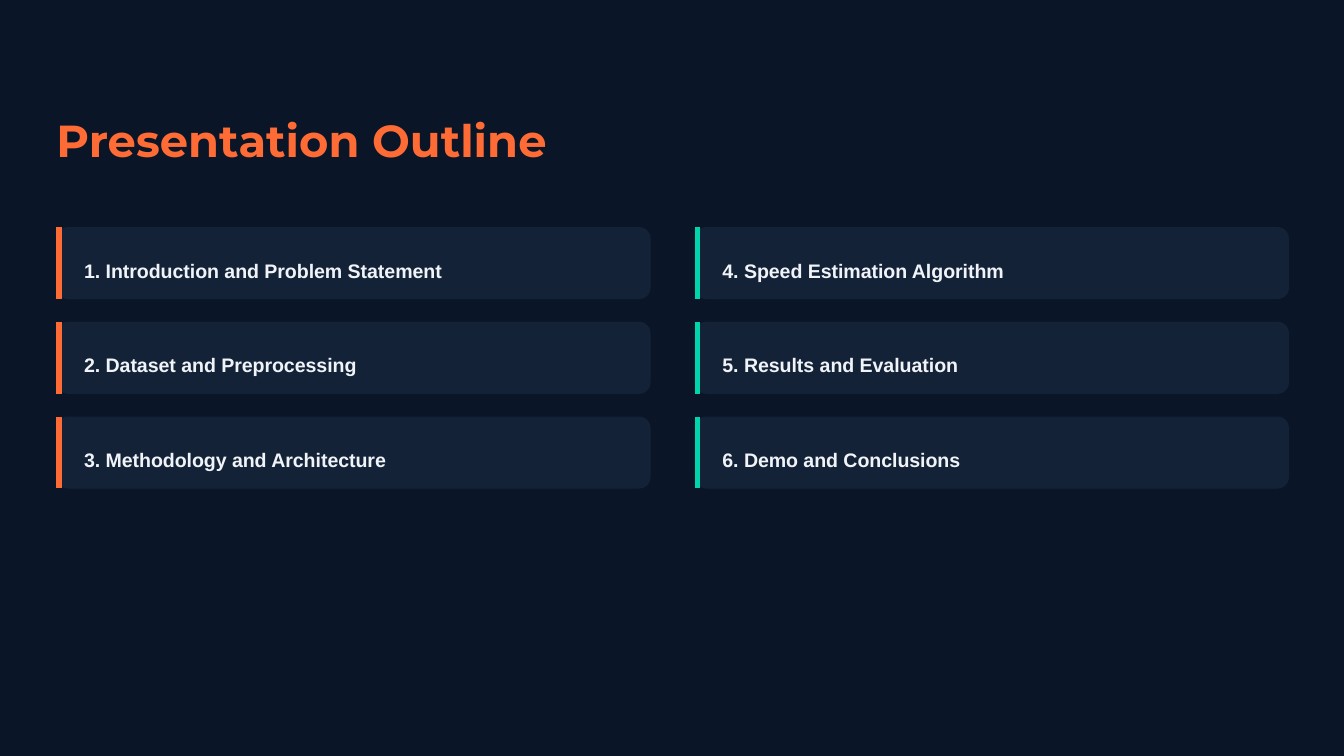
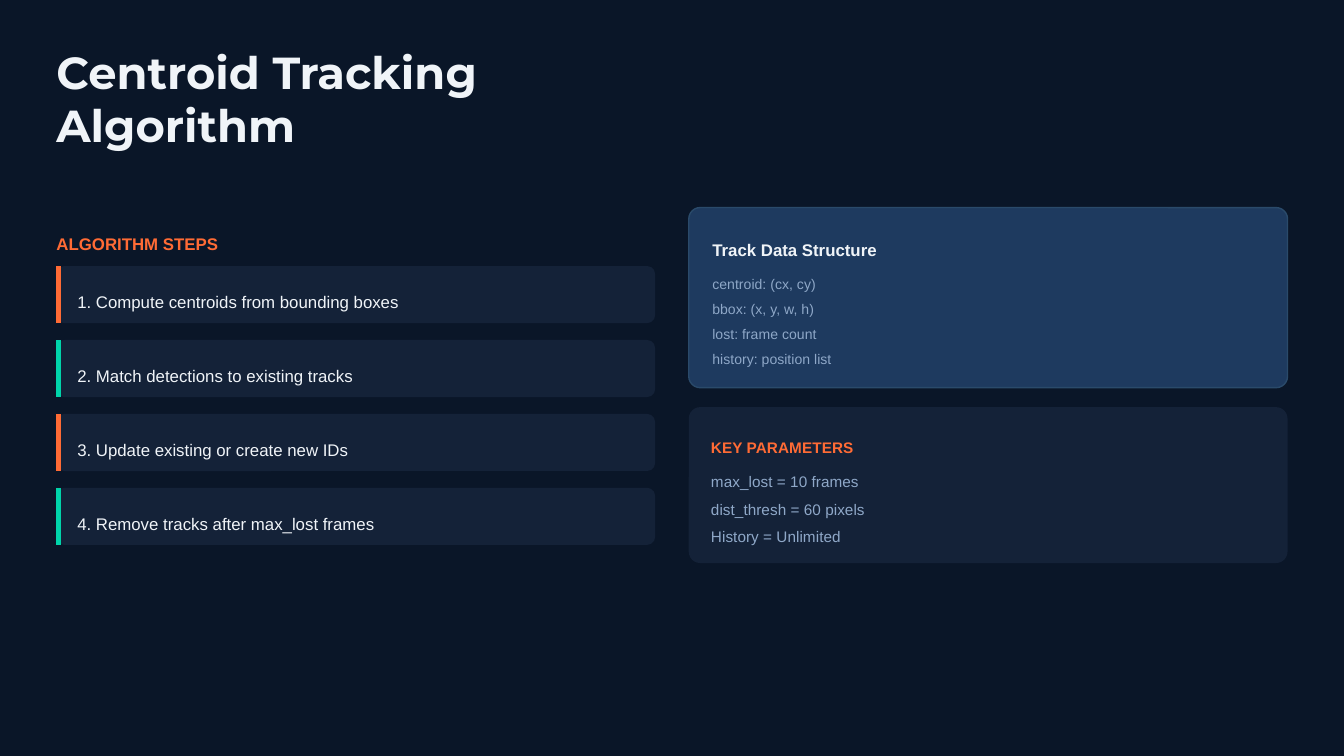
from lxml.etree import SubElement
from pptx import Presentation
from pptx.dml.color import RGBColor
from pptx.enum.shapes import MSO_CONNECTOR as Connector, MSO_SHAPE as Shape
from pptx.oxml.ns import qn
from pptx.util import Emu, Pt

PX = 4572
NAVY, PANEL, BLUE, BORDER = "0A1628", "142238", "1E3A5F", "2A4A6A"
ORANGE, TEAL, WHITE, MUTED = "FF6B35", "00D4AA", "F0F4F8", "8FA8C8"
MARGIN = 84


def px(*lengths):
    """Turn pixel lengths into EMU."""
    return [Emu(length * PX) for length in lengths]


def color(value):
    """Turn a hex string into a colour."""
    return RGBColor.from_string(value)


def add_text(slide, box, text, size, ink, bold=False, font="Arial", spacing=1.4):
    """Add a wrapped text box without insets."""
    text_frame = slide.shapes.add_textbox(*px(*box)).text_frame
    text_frame.margin_left = text_frame.margin_right = 0
    text_frame.margin_top = text_frame.margin_bottom = 0
    text_frame.word_wrap = True
    text_frame.text = text
    paragraph = text_frame.paragraphs[0]
    if spacing:
        paragraph.line_spacing = spacing
    style = paragraph.runs[0].font
    style.name, style.size, style.bold = font, Pt(size), bold
    style.color.rgb = color(ink)


def add_title(slide, top, text, ink):
    """Add the slide title."""
    add_text(slide, (MARGIN, top, 938, 66), text, 24, ink, True, "Montserrat", None)


def add_panel(slide, box, radius, fill=PANEL, border=None):
    """Add a rounded panel with an optional thin border."""
    shape = slide.shapes.add_shape(Shape.ROUNDED_RECTANGLE, *px(*box))
    shape.shadow.inherit = False
    shape.adjustments[0] = radius / min(box[2:])
    shape.fill.solid()
    shape.fill.fore_color.rgb = color(fill)
    if border:
        shape.line.color.rgb = color(border)
        shape.line.width = Pt(0.75)
    else:
        shape.line.fill.background()


def add_accent(slide, x, top, height, ink, weight):
    """Add the vertical accent line of a row."""
    line = slide.shapes.add_connector(Connector.STRAIGHT, *px(x, top, x, top + height))
    line.line.color.rgb = color(ink)
    line.line.width = Pt(weight)
    SubElement(line._element.spPr, qn("a:effectLst"))


def outline_item(slide, box, text, accent):
    """Add one section of the outline."""
    left, top, width, height = box
    add_panel(slide, box, 17)
    add_accent(slide, left + 4, top, height, accent, 3)
    add_text(slide, (left + 41, top + 33, width - 60, 40), text, 10.5, WHITE, True)


def step_item(slide, box, text, accent):
    """Add one step of the algorithm."""
    left, top, width, height = box
    add_panel(slide, box, 12)
    add_accent(slide, left + 3, top, height, accent, 2.25)
    add_text(slide, (left + 31, top + 26, width - 40, 34), text, 9, WHITE)


def info_card(slide, box, heading, lines, inset, first, pitch, border=None):
    """Add a panel with a heading and lines, each given as text, size and colour."""
    left, top, width, height = box
    add_panel(slide, box, 17, BLUE if border else PANEL, border)
    text_left, text_width = left + inset, width - 52
    add_text(slide, (text_left, top + 35, text_width, 33), *heading, True)
    texts, size = lines
    for index, text in enumerate(texts):
        line_top = top + first + index * pitch
        add_text(slide, (text_left, line_top, text_width, 31), text, size, MUTED)


def new_slide(presentation):
    """Add a blank slide with the dark background."""
    slide = presentation.slides.add_slide(presentation.slide_layouts[6])
    slide.background.fill.solid()
    slide.background.fill.fore_color.rgb = color(NAVY)
    return slide


def outline_slide(presentation):
    """Build the outline in two columns."""
    slide = new_slide(presentation)
    add_title(slide, 168, "Presentation Outline", ORANGE)
    sections = (
        "Introduction and Problem Statement",
        "Dataset and Preprocessing",
        "Methodology and Architecture",
        "Speed Estimation Algorithm",
        "Results and Evaluation",
        "Demo and Conclusions",
    )
    for index, section in enumerate(sections):
        column, row = divmod(index, 3)
        box = (MARGIN + column * 950, 338 + row * 141, 884, 107)
        outline_item(slide, box, f"{index + 1}. {section}", (ORANGE, TEAL)[column])


def tracking_slide(presentation):
    """Build the algorithm steps beside the two cards."""
    slide = new_slide(presentation)
    add_title(slide, 66, "Centroid Tracking Algorithm", WHITE)
    add_text(slide, (MARGIN, 336, 910, 34), "ALGORITHM STEPS", 9, ORANGE, True)
    steps = (
        "Compute centroids from bounding boxes",
        "Match detections to existing tracks",
        "Update existing or create new IDs",
        "Remove tracks after max_lost frames",
    )
    for index, step in enumerate(steps):
        box = (MARGIN, 396 + index * 110, 891, 85)
        step_item(slide, box, f"{index + 1}. {step}", (ORANGE, TEAL)[index % 2])

    fields = ("centroid: (cx, cy)", "bbox: (x, y, w, h)",
              "lost: frame count", "history: position list")
    info_card(slide, (1025, 309, 891, 268), ("Track Data Structure", 9, WHITE),
              (fields, 7.5), inset=35, first=91, pitch=37, border=BORDER)
    parameters = ("max_lost = 10 frames", "dist_thresh = 60 pixels", "History = Unlimited")
    info_card(slide, (1025, 606, 891, 232), ("KEY PARAMETERS", 8.25, ORANGE),
              (parameters, 8.25), inset=33, first=86, pitch=41)


def main():
    """Build and save the presentation."""
    presentation = Presentation()
    presentation.slide_width, presentation.slide_height = px(2000, 1125)
    outline_slide(presentation)
    tracking_slide(presentation)
    presentation.save("out.pptx")


if __name__ == "__main__":
    main()
